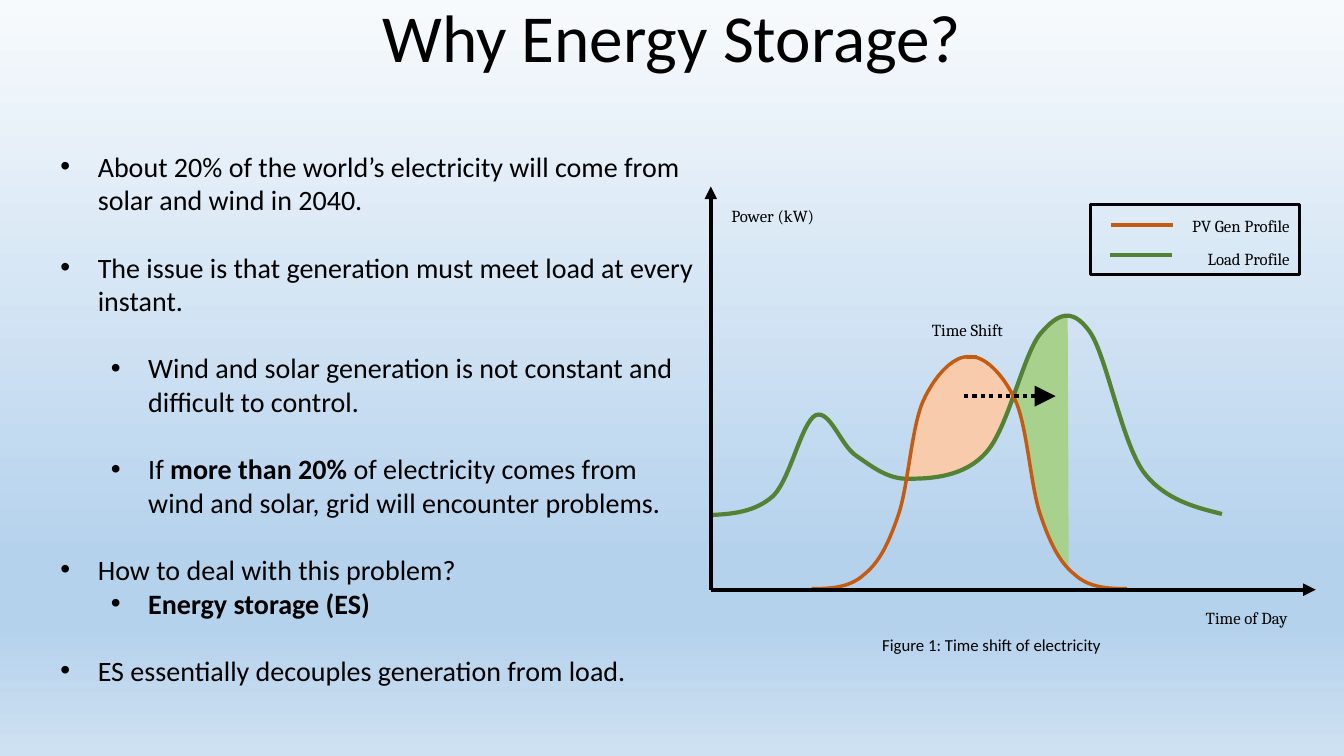
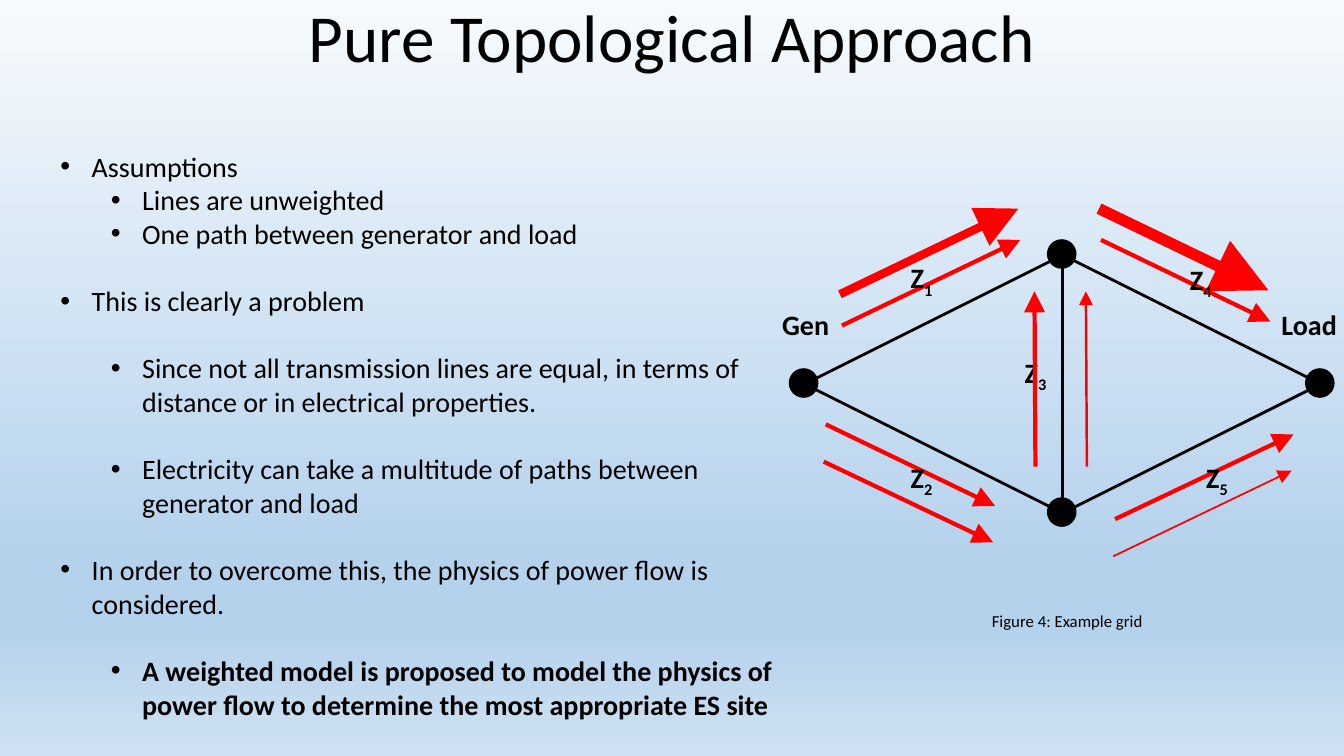
from dataclasses import dataclass
from typing import Optional

import lxml.etree
import pptx
import pptx.dml.color
import pptx.enum.dml
import pptx.enum.shapes
import pptx.enum.text
import pptx.oxml.ns
import pptx.util

EMU_PER_PX = 9144
SLIDE_WIDTH, SLIDE_HEIGHT = 1333, 750
BLACK, RED = "000000", "FF0000"
PV_COLOUR, LOAD_COLOUR = "C55A11", "548235"
BACKGROUND_STOPS = ((0, "F7FAFD"), (74, "B5D2EC"), (83, "B5D2EC"), (100, "CEE1F2"))
BODY_SIZE, BODY_GAP, LEVEL_STEP = 20, 24, 50

Point = tuple[int, int]
Box = tuple[int, int, int, int]
qn = pptx.oxml.ns.qn
ALIGN = pptx.enum.text.PP_ALIGN


@dataclass
class Run:
    text: str
    bold: bool = False
    subscript: bool = False


@dataclass
class Bullet:
    runs: list[Run]
    level: int = 0
    gap: bool = False


@dataclass
class Stroke:
    start: Point
    end: Point
    colour: str
    width: float
    head: Optional[str] = None
    dotted: bool = False


@dataclass
class Label:
    lines: list[list[Run]]
    box: Box
    size: int = 12
    font: str = "Calibri"
    align: ALIGN = ALIGN.CENTER
    line_spacing: Optional[float] = None
    gap: int = 0


def px(length: int) -> int:
    return pptx.util.Emu(length * EMU_PER_PX)


def rgb(value: str) -> pptx.dml.color.RGBColor:
    return pptx.dml.color.RGBColor.from_string(value)


def place(shape, box: Box) -> None:
    shape.left, shape.top, shape.width, shape.height = map(px, box)


def write_text(paragraph, text: str, *, size: int, font: str = "Calibri",
               colour: str = BLACK, bold: bool = False, subscript: bool = False) -> None:
    run = paragraph.add_run()
    run.text = text
    run.font.size = pptx.util.Pt(size)
    run.font.name = font
    run.font.bold = bold
    run.font.color.rgb = rgb(colour)
    if subscript:
        run.font._element.set("baseline", "-25000")


def set_background(master) -> None:
    fill = master.background.fill
    fill.gradient()
    fill.gradient_angle = 270
    stops = master.element.find(".//" + qn("a:gsLst"))
    for stop in list(stops):
        stops.remove(stop)
    for position, colour in BACKGROUND_STOPS:
        stop = lxml.etree.SubElement(stops, qn("a:gs"), pos=str(position * 1000))
        lxml.etree.SubElement(stop, qn("a:srgbClr"), val=colour)


def add_content_slide(presentation, title: str, bullets: list[Bullet],
                      body_box: Box, indent: int):
    slide = presentation.slides.add_slide(presentation.slide_layouts[1])
    heading, body = slide.shapes.title, slide.placeholders[1]
    for shape, box in ((heading, (0, 0, SLIDE_WIDTH, 81)), (body, body_box)):
        place(shape, box)
        shape.text_frame.auto_size = pptx.enum.text.MSO_AUTO_SIZE.NONE
        shape.text_frame.word_wrap = True
    heading.text_frame.vertical_anchor = pptx.enum.text.MSO_ANCHOR.MIDDLE
    paragraph = heading.text_frame.paragraphs[0]
    paragraph.alignment = ALIGN.CENTER
    paragraph.line_spacing = 0.9
    write_text(paragraph, title, size=48)
    for index, bullet in enumerate(bullets):
        frame = body.text_frame
        paragraph = frame.add_paragraph() if index else frame.paragraphs[0]
        paragraph.level = bullet.level
        properties = paragraph._p.get_or_add_pPr()
        properties.set("marL", str(px(LEVEL_STEP * (bullet.level + 1) + indent)))
        properties.set("indent", str(px(-indent)))
        lxml.etree.SubElement(properties, qn("a:buFont"), typeface="Arial")
        lxml.etree.SubElement(properties, qn("a:buChar"), char="•")
        paragraph.space_before = pptx.util.Pt(BODY_GAP if bullet.gap else 0)
        for run in bullet.runs:
            write_text(paragraph, run.text, size=BODY_SIZE, bold=run.bold)
    return slide


def add_label(slide, label: Label) -> None:
    frame = slide.shapes.add_textbox(*map(px, label.box)).text_frame
    frame.word_wrap = True
    for index, line in enumerate(label.lines):
        paragraph = frame.add_paragraph() if index else frame.paragraphs[0]
        paragraph.alignment = label.align
        paragraph.line_spacing = label.line_spacing
        if index:
            paragraph.space_before = pptx.util.Pt(label.gap)
        for run in line:
            write_text(paragraph, run.text, size=label.size, font=label.font,
                       bold=run.bold, subscript=run.subscript)


def add_stroke(slide, stroke: Stroke) -> None:
    connector = slide.shapes.add_connector(
        pptx.enum.shapes.MSO_CONNECTOR.STRAIGHT, *map(px, stroke.start + stroke.end))
    connector.line.color.rgb = rgb(stroke.colour)
    connector.line.width = pptx.util.Pt(stroke.width)
    if stroke.dotted:
        connector.line.dash_style = pptx.enum.dml.MSO_LINE.ROUND_DOT
    if stroke.head:
        lxml.etree.SubElement(connector.line._get_or_add_ln(), qn("a:tailEnd"),
                              type="triangle", w=stroke.head, len=stroke.head)
    lxml.etree.SubElement(connector._element.spPr, qn("a:effectLst"))


def paint(shape, fill: Optional[str], line: Optional[str], width: float) -> None:
    shape.shadow.inherit = False
    if fill:
        shape.fill.solid()
        shape.fill.fore_color.rgb = rgb(fill)
    else:
        shape.fill.background()
    if line:
        shape.line.color.rgb = rgb(line)
        shape.line.width = pptx.util.Pt(width)
    else:
        shape.line.fill.background()


def add_preset(slide, kind, box: Box, *, fill: Optional[str] = None, width: float = 1) -> None:
    paint(slide.shapes.add_shape(kind, *map(px, box)), fill, BLACK, width)


def add_outline(slide, points: list[Point], *, fill: Optional[str] = None,
                line: Optional[str] = None, width: float = 1):
    builder = slide.shapes.build_freeform(*points[0], scale=EMU_PER_PX)
    builder.add_line_segments(points[1:], close=fill is not None)
    shape = builder.convert_to_shape()
    paint(shape, fill, line, width)
    return shape


def add_curve(slide, knots: list[Point], colour: str, width: float) -> None:
    shape = add_outline(slide, knots, line=colour, width=width)
    outline = shape._element.find(".//" + qn("a:path"))
    segments = outline.findall(qn("a:lnTo"))
    for first in range(0, len(segments), 3):
        bezier = lxml.etree.SubElement(outline, qn("a:cubicBezTo"))
        for segment in segments[first:first + 3]:
            bezier.append(segment[0])
            outline.remove(segment)


def draw_time_shift(slide) -> None:
    shifted_load = [
        (1059, 313), (1048, 317), (1036, 327), (1028, 337), (1006, 395), (1012, 408),
        (1017, 434), (1025, 480), (1029, 500), (1042, 537), (1052, 553), (1054, 557),
        (1057, 561), (1060, 564)]
    surplus_generation = [
        (898, 475), (907, 475), (916, 475), (928, 473), (936, 472), (944, 470), (950, 468),
        (956, 466), (962, 463), (969, 458), (974, 455), (978, 450), (983, 445), (987, 439),
        (989, 434), (991, 429), (994, 423), (996, 418), (998, 413), (1000, 407), (1002, 403),
        (1004, 399), (1006, 395), (997, 380), (985, 365), (974, 357), (968, 354), (957, 354),
        (947, 358), (935, 367), (926, 378), (917, 393), (910, 413), (903, 446)]
    load_knots = [
        (705, 511), (727, 510), (749, 508), (767, 492), (784, 475), (795, 419), (809, 412),
        (823, 406), (834, 442), (849, 452), (865, 463), (881, 476), (902, 475), (924, 475),
        (957, 473), (978, 449), (1000, 425), (1015, 351), (1032, 331), (1049, 311),
        (1063, 305), (1080, 328), (1097, 350), (1112, 437), (1134, 468), (1156, 498),
        (1193, 505), (1212, 510)]
    rising_knots = [
        (805, 584), (824, 584), (843, 583), (857, 570), (872, 558), (881, 540), (891, 511),
        (901, 482), (904, 423), (916, 397), (928, 371), (947, 352), (962, 354)]
    falling_knots = [(1923 - x, y) for x, y in rising_knots]

    add_outline(slide, shifted_load, fill="A9D18E")
    add_outline(slide, surplus_generation, fill="F8CBAD", line="F4B183")
    add_curve(slide, load_knots, LOAD_COLOUR, 3)
    add_preset(slide, pptx.enum.shapes.MSO_SHAPE.RECTANGLE, (1082, 203, 207, 69), width=2)
    for knots in (falling_knots, rising_knots):
        add_curve(slide, knots, PV_COLOUR, 2.5)

    origin = (705, 585)
    for stroke in (
        Stroke((958, 354), (969, 354), PV_COLOUR, 2.5),
        Stroke(origin, (705, 185), BLACK, 3, head="med"),
        Stroke(origin, (1305, 585), BLACK, 3, head="med"),
        Stroke((1102, 223), (1163, 223), PV_COLOUR, 3),
        Stroke((1101, 253), (1162, 253), LOAD_COLOUR, 3),
        Stroke((956, 393), (1047, 393), BLACK, 3, head="lg", dotted=True),
    ):
        add_stroke(slide, stroke)
    for text, box in (("Power (kW)", (663, 199, 207, 75)),
                      ("Time of Day", (1151, 598, 171, 39)),
                      ("Time Shift", (856, 312, 207, 75))):
        add_label(slide, Label([[Run(text)]], box, font="Cambria"))
    add_label(slide, Label([[Run("PV Gen Profile")], [Run("Load Profile")]],
                           (1118, 199, 171, 87), font="Cambria", align=ALIGN.RIGHT,
                           line_spacing=1.5, gap=2))
    add_label(slide, Label([[Run("Figure 1: Time shift of electricity")]], (622, 625, 723, 30)))


def draw_example_grid(slide) -> None:
    centre_x, centre_y, half_width, half_height = 1054, 381, 256, 128
    node_offset, node_size = 15, 28
    generator, load = (centre_x - half_width, centre_y), (centre_x + half_width, centre_y)
    top, bottom = (centre_x, centre_y - half_height), (centre_x, centre_y + half_height)

    for start, end, width in (
        ((835, 323), (1012, 238), 3), ((1092, 238), (1260, 319), 3),
        ((1106, 515), (1283, 431), 3), ((833, 292), (1010, 207), 6),
        ((1090, 207), (1258, 288), 8), ((1104, 552), (1281, 467), 1.25),
        ((819, 421), (987, 502), 3), ((817, 458), (985, 538), 3),
    ):
        add_stroke(slide, Stroke(start, end, RED, width, head="lg"))
    for start, end in ((generator, top), (generator, bottom), (bottom, top),
                       (bottom, load), (top, load)):
        add_stroke(slide, Stroke(start, end, BLACK, 2))
    for x, y in (generator, top, bottom, load):
        add_preset(slide, pptx.enum.shapes.MSO_SHAPE.OVAL,
                   (x - node_offset, y - node_offset, node_size, node_size), fill=BLACK)

    impedances = ((877, 254), (877, 452), (990, 348), (1154, 256), (1170, 452))
    for number, (left, upper) in enumerate(impedances, 1):
        runs = [Run("Z", bold=True), Run(str(number), bold=True, subscript=True)]
        add_label(slide, Label([runs], (left, upper, 74, 44), size=20))
    for text, left, width in (("Gen", 762, 74), ("Load", 1252, 93)):
        add_label(slide, Label([[Run(text, bold=True)]], (left, 300, width, 44), size=20))
    add_label(slide, Label([[Run("Figure 4: Example grid")]], (697, 601, 723, 30)))
    for x, width in ((1027, 3), (1078, 1.75)):
        add_stroke(slide, Stroke((x, 463), (x - 1, 289), RED, width, head="lg"))


def main() -> None:
    presentation = pptx.Presentation()
    presentation.slide_width, presentation.slide_height = px(SLIDE_WIDTH), px(SLIDE_HEIGHT)
    set_background(presentation.slide_master)

    draw_time_shift(add_content_slide(presentation, "Why Energy Storage?", [
        Bullet([Run("About 20% of the world’s electricity will come from solar and wind in 2040.")]),
        Bullet([Run("The issue is that generation must meet load at every instant.")], gap=True),
        Bullet([Run("Wind and solar generation is not constant and difficult to control.")], 1, True),
        Bullet([Run("If "), Run("more than 20% ", bold=True),
                Run("of electricity comes from wind and solar, grid will encounter problems.")], 1, True),
        Bullet([Run("How to deal with this problem?")], gap=True),
        Bullet([Run("Energy storage (ES)", bold=True)], 1),
        Bullet([Run("ES essentially decouples generation from load.")], gap=True),
    ], (0, 143, 702, 549), 37))

    draw_example_grid(add_content_slide(presentation, "Pure Topological Approach", [
        Bullet([Run("Assumptions")]),
        Bullet([Run("Lines are unweighted")], 1),
        Bullet([Run("One path between generator and load")], 1),
        Bullet([Run("This is clearly a problem")], gap=True),
        Bullet([Run("Since not all transmission lines are equal, in terms of distance "
                    "or in electrical properties.")], 1, True),
        Bullet([Run("Electricity can take a multitude of paths between generator and load")], 1, True),
        Bullet([Run("In order to overcome this, the physics of power flow is considered.")], gap=True),
        Bullet([Run("A weighted model is proposed to model the physics of power flow to determine "
                    "the most appropriate ES site", bold=True)], 1, True),
    ], (0, 143, 800, 582), 31))

    presentation.save("out.pptx")


if __name__ == "__main__":
    main()
